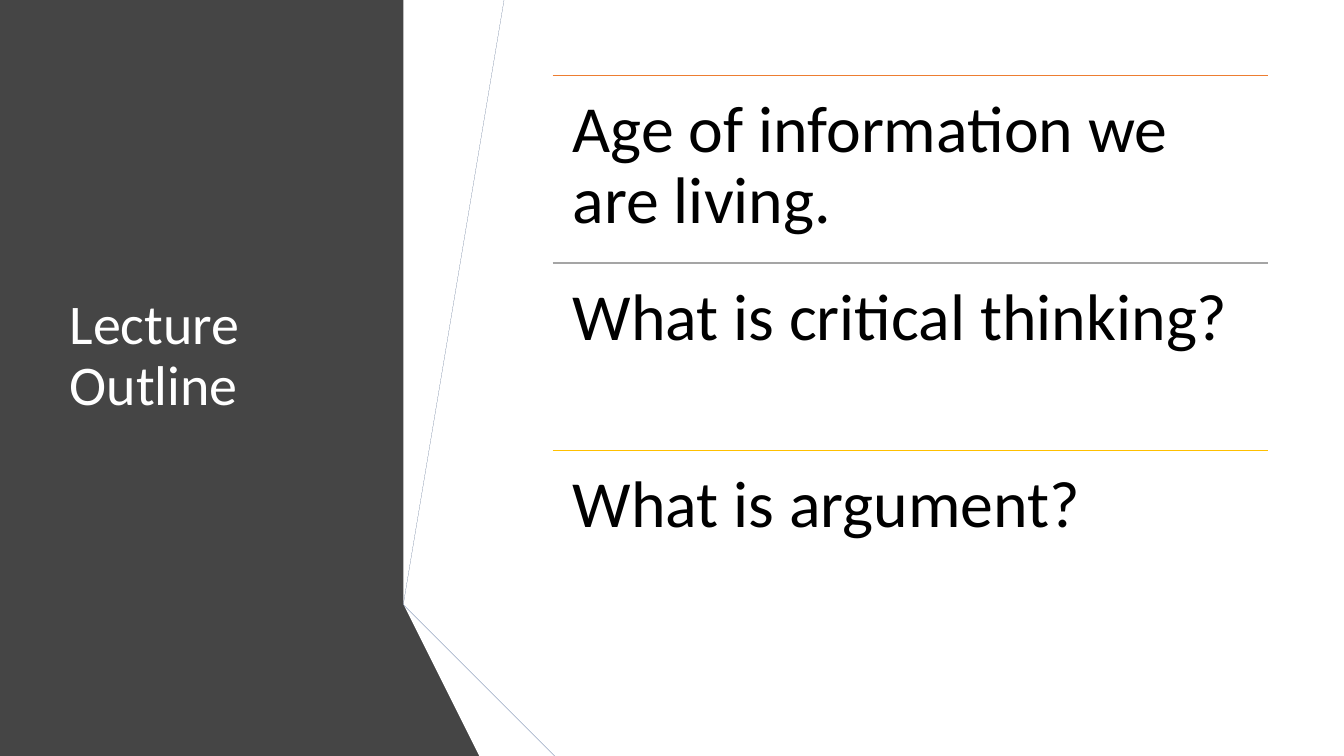
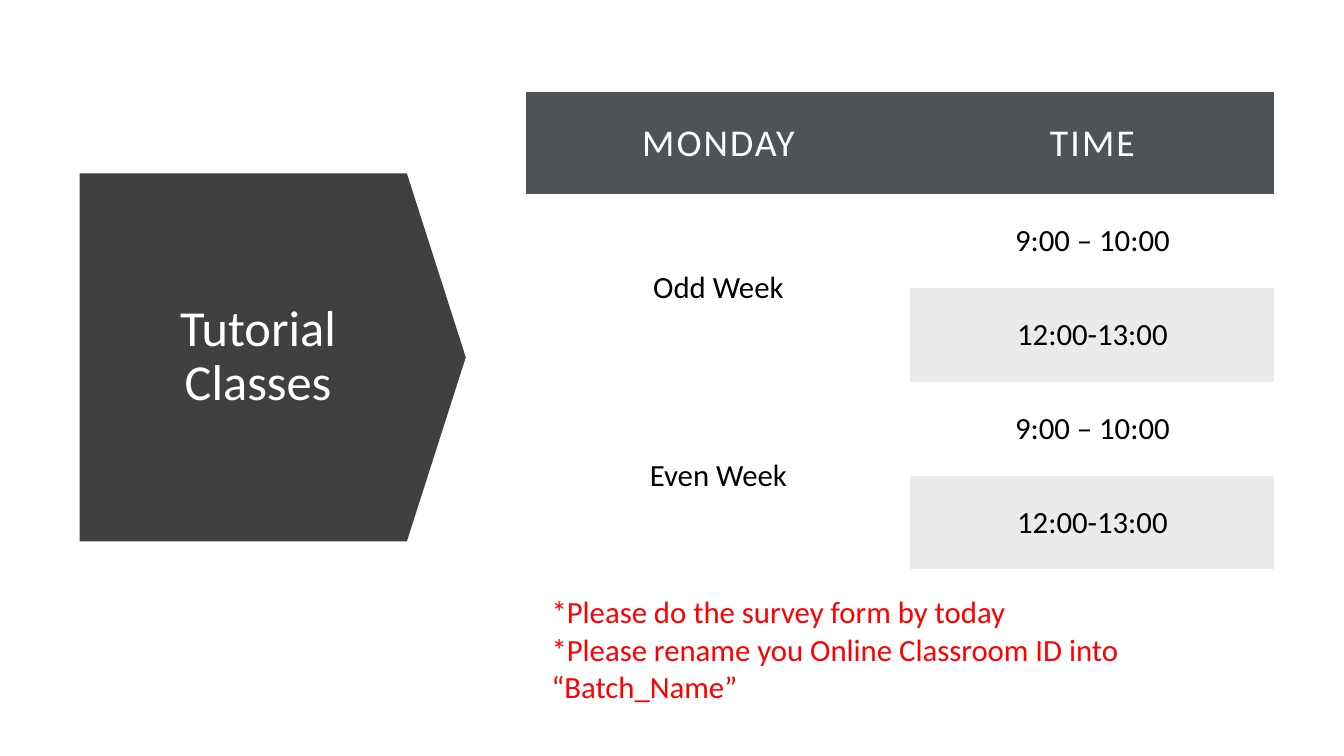
import pptx
import pptx.util
import pptx.dml.color
import pptx.enum.shapes
import pptx.enum.text
from lxml import etree

Inches, Pt = pptx.util.Inches, pptx.util.Pt
RGB = pptx.dml.color.RGBColor
ALIGN = pptx.enum.text.PP_ALIGN
MIDDLE = pptx.enum.text.MSO_ANCHOR.MIDDLE
FONT = "Calibri"
W, H = 13.33, 7.5
NO_GRID_STYLE = "{2D5ABB26-0587-4C30-8999-92F81FD0307C}"

WHITE, BLACK, RED = RGB(255, 255, 255), RGB(0, 0, 0), RGB(255, 0, 0)
PANEL, ARROW = RGB(0x45, 0x45, 0x45), RGB(0x40, 0x40, 0x40)
HEADER, SHADE = RGB(0x50, 0x53, 0x56), RGB(0xEB, 0xEB, 0xEB)
BLUE, BLUE_DARK, NAVY = RGB(0x44, 0x72, 0xC4), RGB(0x2F, 0x55, 0x97), RGB(0x20, 0x38, 0x64)
GRAY, GRAY_DARK = RGB(0x59, 0x59, 0x59), RGB(0x26, 0x26, 0x26)
ORANGE, SILVER, GOLD = RGB(0xED, 0x7D, 0x31), RGB(0xA5, 0xA5, 0xA5), RGB(0xFF, 0xC0, 0)

# Folded ribbon beside the title: (colour, outline in inches)
RIBBON = [
    (PANEL, [(0, 0), (4.49, 0), (3.56, 5.75), (4.82, H), (0, H)]),
    (BLUE, [(3.96, 5.78), (4.23, 5.83), (5.19, 0), (4.91, 0)]),
    (GRAY, [(4.85, 0), (4.57, 0), (3.63, 5.73), (3.9, 5.77)]),
    (GRAY_DARK, [(3.63, 5.73), (4.91, H), (4.97, H)]),
    (NAVY, [(3.96, 5.79), (5.54, H), (5.6, H)]),
    (BLUE_DARK, [(3.96, 5.79), (5.6, H), (6.29, H), (4.23, 5.83), (3.96, 5.78)]),
    (ARROW, [(5.48, H), (3.95, 5.83), (3.9, 5.77), (3.63, 5.73), (4.97, H)]),
]
TOPICS = [
    ("Age of information we are living.", ORANGE),
    ("What is critical thinking?", SILVER),
    ("What is argument?", GOLD),
]
TOPIC_LEFT, TOPIC_TOP, TOPIC_W, TOPIC_H = 5.48, 0.75, 7.1, 1.86

HEADINGS = ["MONDAY", "TIME"]
WEEKS = [
    ("Odd Week", ["9:00 – 10:00", "12:00-13:00"]),
    ("Even Week", ["9:00 – 10:00", "12:00-13:00"]),
]
NOTES = ["*Please do the survey form by today",
         "*Please rename you Online Classroom ID into “Batch_Name”"]
COL_WIDTHS = [3.81, 3.61]
HEADER_H, ROW_H = 1.02, 0.93


def box(*lengths):
    return [Inches(v) for v in lengths]


def write(tf, lines, size, color, align=ALIGN.LEFT, spacing=None, tracking=0):
    for i, line in enumerate(lines):
        p = tf.paragraphs[0] if i == 0 else tf.add_paragraph()
        p.alignment, p.line_spacing = align, spacing
        r = p.add_run()
        r.text = line
        for name, value in dict(name=FONT, size=Pt(size)).items():
            setattr(r.font, name, value)
        r.font.color.rgb = color
        if tracking:
            r.font._element.set("spc", str(tracking))


def set_margins(target, inset):
    for side in ("left", "right", "top", "bottom"):
        setattr(target, "margin_" + side, Inches(inset))


def paint(shape, color):
    shape.shadow.inherit = False
    shape.fill.solid()
    shape.fill.fore_color.rgb = color
    shape.line.fill.background()


def add_title(s, text, place, size, align):
    """Format the title and bring it in front of the shapes behind it."""
    title = s.shapes.title
    title.left, title.top, title.width, title.height = box(*place)
    tf = title.text_frame
    tf.word_wrap, tf.vertical_anchor = True, MIDDLE
    tf.auto_size = pptx.enum.text.MSO_AUTO_SIZE.NONE
    write(tf, [text], size, WHITE, align, 0.9)
    s.shapes._spTree.append(title._element)


def add_rule(s, x, y, width, color):
    line = s.shapes.add_connector(pptx.enum.shapes.MSO_CONNECTOR.STRAIGHT,
                                  *box(x, y, x + width, y))
    line.line.color.rgb, line.line.width = color, Pt(1)
    etree.SubElement(line._element.spPr, pptx.oxml.ns.qn("a:effectLst"))


def fill_cell(cell, lines, size=22, color=BLACK, align=ALIGN.CENTER, fill=None, tracking=0):
    set_margins(cell, 0.25)
    cell.vertical_anchor = MIDDLE
    if fill is None:
        cell.fill.background()
    else:
        cell.fill.solid()
        cell.fill.fore_color.rgb = fill
    write(cell.text_frame, lines, size, color, align, tracking=tracking)


def build_outline(s):
    for color, points in RIBBON:
        outline = s.shapes.build_freeform(*points[0], scale=Inches(1))
        outline.add_line_segments(points[1:], close=True)
        paint(outline.convert_to_shape(), color)
    add_title(s, "Lecture Outline", (0.59, 0.75, 3.04, 5.58), 40, ALIGN.LEFT)
    for i, (topic, color) in enumerate(TOPICS):
        y = TOPIC_TOP + i * TOPIC_H
        add_rule(s, TOPIC_LEFT, y, TOPIC_W, color)
        tf = s.shapes.add_textbox(*box(TOPIC_LEFT, y, TOPIC_W, TOPIC_H)).text_frame
        tf.word_wrap = True
        set_margins(tf, 0.2)
        write(tf, [topic], 47, BLACK, spacing=0.9)


def build_classes(s):
    arrow = s.shapes.add_shape(pptx.enum.shapes.MSO_SHAPE.PENTAGON,
                               *box(0.79, 1.72, 3.83, 3.65))
    arrow.adjustments[0] = 0.16
    paint(arrow, ARROW)
    add_title(s, "Tutorial Classes", (1.12, 2.15, 2.88, 2.79), 36, ALIGN.CENTER)

    slots = sum(len(times) for _, times in WEEKS)
    last = slots + 1
    frame = s.shapes.add_table(last + 1, len(COL_WIDTHS), *box(
        5.22, 0.91, sum(COL_WIDTHS), HEADER_H + last * ROW_H))
    table = frame.table
    table._tbl.tblPr.find(pptx.oxml.ns.qn("a:tableStyleId")).text = NO_GRID_STYLE
    for col, width in zip(table.columns, COL_WIDTHS):
        col.width = Inches(width)
    for i, row in enumerate(table.rows):
        row.height = Inches(ROW_H if i else HEADER_H)

    for c, heading in enumerate(HEADINGS):
        fill_cell(table.cell(0, c), [heading], 27, WHITE, fill=HEADER, tracking=150)
    r = 1
    for week, times in WEEKS:
        table.cell(r, 0).merge(table.cell(r + len(times) - 1, 0))
        fill_cell(table.cell(r, 0), [week])
        for i, time in enumerate(times):
            fill_cell(table.cell(r + i, 1), [time], fill=SHADE if i % 2 else None)
        r += len(times)
    table.cell(last, 0).merge(table.cell(last, 1))
    fill_cell(table.cell(last, 0), NOTES, color=RED, align=ALIGN.LEFT)


def main():
    prs = pptx.Presentation()
    prs.slide_width, prs.slide_height = box(W, H)
    for build in (build_outline, build_classes):
        build(prs.slides.add_slide(prs.slide_layouts[5]))
    prs.save("out.pptx")


if __name__ == "__main__":
    main()
